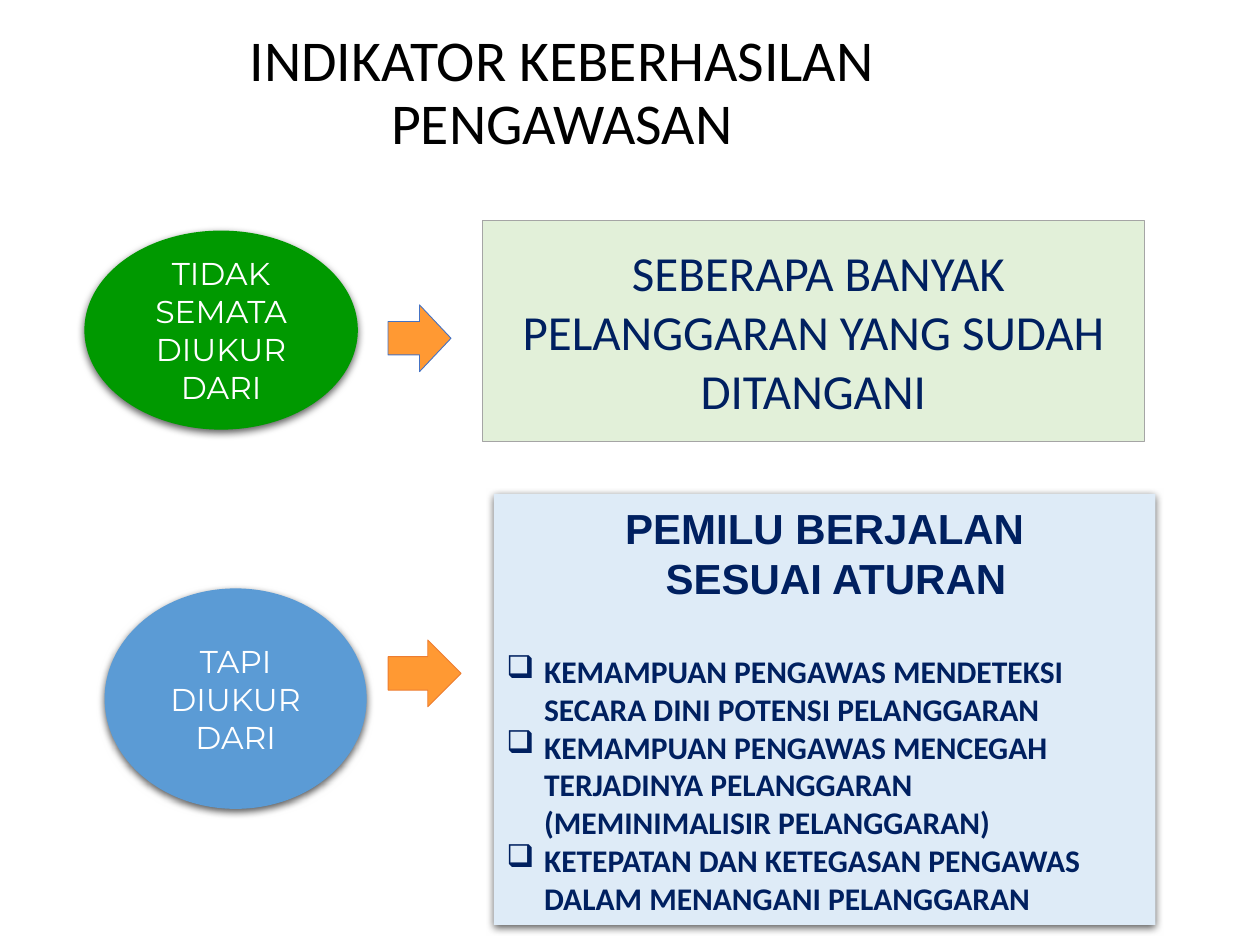
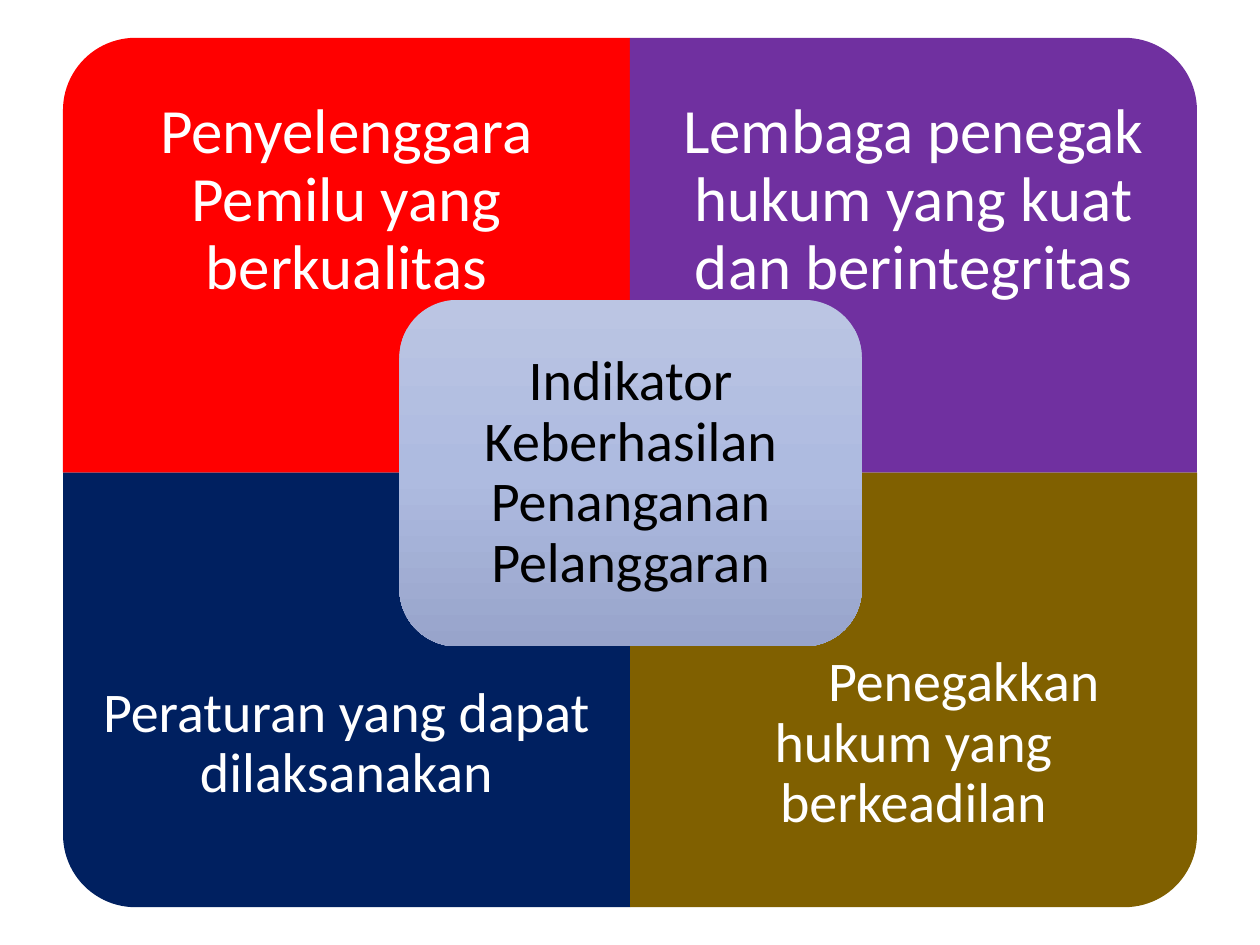
import copy

import pptx
import pptx.dml.color
import pptx.enum.shapes
import pptx.enum.text
import pptx.oxml
import pptx.oxml.ns
import pptx.util

Inches = pptx.util.Inches
Pt = pptx.util.Pt
SHAPES = pptx.enum.shapes.MSO_SHAPE
CENTER = pptx.enum.text.PP_ALIGN.CENTER
LEFT = pptx.enum.text.PP_ALIGN.LEFT

WHITE, BLACK, NAVY, ORANGE = "FFFFFF", "000000", "002060", "FF9933"
SHADOW = (
    '<a:outerShdw xmlns:a="http://schemas.openxmlformats.org/drawingml/2006/main" '
    'blurRad="57150" dist="19050" dir="5400000" algn="ctr" rotWithShape="0">'
    '<a:srgbClr val="000000"><a:alpha val="63000"/></a:srgbClr></a:outerShdw>'
)


def color(value):
    return pptx.dml.color.RGBColor.from_string(value)


def add_shape(slide, kind, box, fill, line=None, shadow=False):
    shape = slide.shapes.add_shape(kind, *map(Inches, box))
    shape.shadow.inherit = False
    if shadow:
        effects = shape._element.spPr.find(pptx.oxml.ns.qn("a:effectLst"))
        effects.append(pptx.oxml.parse_xml(SHADOW))
    shape.fill.solid()
    shape.fill.fore_color.rgb = color(fill)
    if line:
        shape.line.color.rgb = color(line)
        shape.line.width = Pt(0.5)
    else:
        shape.line.fill.background()
    return shape


def prepare_frame(shape, inset=None):
    """Wrap and middle-anchor the text, with equal insets if one is given."""
    frame = shape.text_frame
    frame.word_wrap = True
    frame.vertical_anchor = pptx.enum.text.MSO_ANCHOR.MIDDLE
    if inset is not None:
        frame.margin_left = frame.margin_right = Inches(inset)
        frame.margin_top = frame.margin_bottom = Inches(inset)
    return frame


def write(paragraph, text, size, ink, font="Calibri", bold=False, align=CENTER,
          margin=0, indent=0):
    paragraph.text = text
    paragraph.alignment = align
    properties = paragraph._p.get_or_add_pPr()
    properties.set("marL", str(Inches(margin)))
    properties.set("indent", str(Inches(indent)))
    for run in paragraph.runs:
        run.font.name = font
        run.font.size = Pt(size)
        run.font.bold = bold
        run.font.color.rgb = color(ink)


def add_text(slide, box, text, size, ink, inset, indent=0):
    """Add a centred text box with tight line spacing."""
    frame = prepare_frame(slide.shapes.add_textbox(*map(Inches, box)), inset)
    write(frame.paragraphs[0], text, size, ink, indent=indent)
    frame.paragraphs[0].line_spacing = 0.9


def add_measure_oval(slide, box, text, fill):
    oval = add_shape(slide, SHAPES.OVAL, box, fill, shadow=True)
    write(prepare_frame(oval).paragraphs[0], text, 18, WHITE, "Montserrat")


def add_goal_panel(slide, box):
    """Shadowed panel with a two-line heading and a checklist."""
    panel = add_shape(slide, SHAPES.RECTANGLE, box, "DEEBF7", shadow=True)
    frame = prepare_frame(panel)
    write(frame.paragraphs[0], "PEMILU BERJALAN", 24, NAVY, "Arial", True)
    write(frame.add_paragraph(), "SESUAI ATURAN", 24, NAVY, "Arial", True, margin=0.18)
    abilities = (
        "KEMAMPUAN PENGAWAS MENDETEKSI SECARA DINI POTENSI PELANGGARAN",
        "KEMAMPUAN PENGAWAS MENCEGAH TERJADINYA PELANGGARAN (MEMINIMALISIR PELANGGARAN)",
        "KETEPATAN DAN KETEGASAN PENGAWAS DALAM MENANGANI PELANGGARAN",
    )
    for number, ability in enumerate(abilities):
        paragraph = frame.add_paragraph()
        write(paragraph, ability, 18, NAVY, bold=True, align=LEFT, margin=0.3, indent=-0.3)
        paragraph.space_before = Pt(0 if number else 28)
        bullet = pptx.oxml.parse_xml(
            '<a:buChar xmlns:a="http://schemas.openxmlformats.org/drawingml/2006/main" char="❑"/>')
        paragraph._p.get_or_add_pPr().append(bullet)


def build_supervision_slide(slide):
    add_text(slide, (0.5, 0.25, 7.92, 1), "INDIKATOR KEBERHASILAN PENGAWASAN", 33, BLACK, 0.2)
    count = add_shape(slide, SHAPES.RECTANGLE, (3.83, 1.75, 5.25, 1.75), "E2F0D9", "A5A5A5")
    write(prepare_frame(count).paragraphs[0],
          "SEBERAPA BANYAK PELANGGARAN YANG SUDAH DITANGANI", 28, NAVY, indent=0.08)
    add_goal_panel(slide, (3.92, 3.92, 5.25, 3.42))
    add_shape(slide, SHAPES.RIGHT_ARROW, (3.08, 2.42, 0.5, 0.53), ORANGE, "4472C4")
    add_shape(slide, SHAPES.RIGHT_ARROW, (3.08, 5.08, 0.58, 0.53), ORANGE, "ED7D31")
    add_measure_oval(slide, (0.67, 1.83, 2.17, 1.58), "TIDAK SEMATA DIUKUR DARI", "009900")
    add_measure_oval(slide, (0.83, 4.67, 2.08, 1.75), "TAPI DIUKUR DARI", "5B9BD5")


def add_quadrant(slide, box, rotation, fill, text, size, indent=0):
    """Quarter whose outer corner is rounded, with text in its outer three quarters."""
    left, top, width, height = box
    across, down = (height, width) if rotation % 180 else (width, height)
    quarter = add_shape(
        slide, SHAPES.ROUND_1_RECTANGLE,
        (left + (width - across) / 2, top + (height - down) / 2, across, down), fill)
    quarter.rotation = rotation
    text_top = top + height / 4 if rotation in (90, 180) else top
    add_text(slide, (left, text_top, width, height * 0.75), text, size, WHITE,
             size / 128, indent)


def add_center(slide, box, text):
    center = add_shape(slide, SHAPES.ROUNDED_RECTANGLE, box, "AEBBE0")
    center.fill.gradient()
    center.fill.gradient_angle = 270
    stops = next(center._element.spPr.iter(pptx.oxml.ns.qn("a:gsLst")))
    stops.insert(1, copy.deepcopy(stops[0]))
    for stop, position, shade in zip(center.fill.gradient_stops, (0, 0.5, 1),
                                     ("BBC5E3", "AEBBE0", "98A4CB")):
        stop.position = position
        stop.color.rgb = color(shade)
    left, top, width, height = box
    pad = 0.13
    add_text(slide, (left + pad, top + pad, width - 2 * pad, height - 2 * pad),
             text, 32, BLACK, pad)


def build_enforcement_slide(slide):
    left, top, width, height = 0.5, 0.3, 4.5, 3.45
    quadrants = (
        (270, "FF0000", "Penyelenggara Pemilu yang berkualitas", 36),
        (0, "7030A0", "Lembaga penegak hukum yang kuat dan berintegritas", 36),
        (180, NAVY, "Peraturan yang dapat dilaksanakan", 32),
        (90, "806000", "Penegakkan hukum yang berkeadilan", 32, 0.8),
    )
    for number, quadrant in enumerate(quadrants):
        row, column = divmod(number, 2)
        box = (left + column * width, top + row * height, width, height)
        add_quadrant(slide, box, *quadrant)
    add_center(slide, (3.17, 2.38, 3.67, 2.75), "Indikator Keberhasilan Penanganan Pelanggaran")


def main():
    presentation = pptx.Presentation()
    presentation.slide_width = Inches(10)
    presentation.slide_height = Inches(7.5)
    for build in (build_supervision_slide, build_enforcement_slide):
        build(presentation.slides.add_slide(presentation.slide_layouts[6]))
    presentation.save("out.pptx")


if __name__ == "__main__":
    main()
